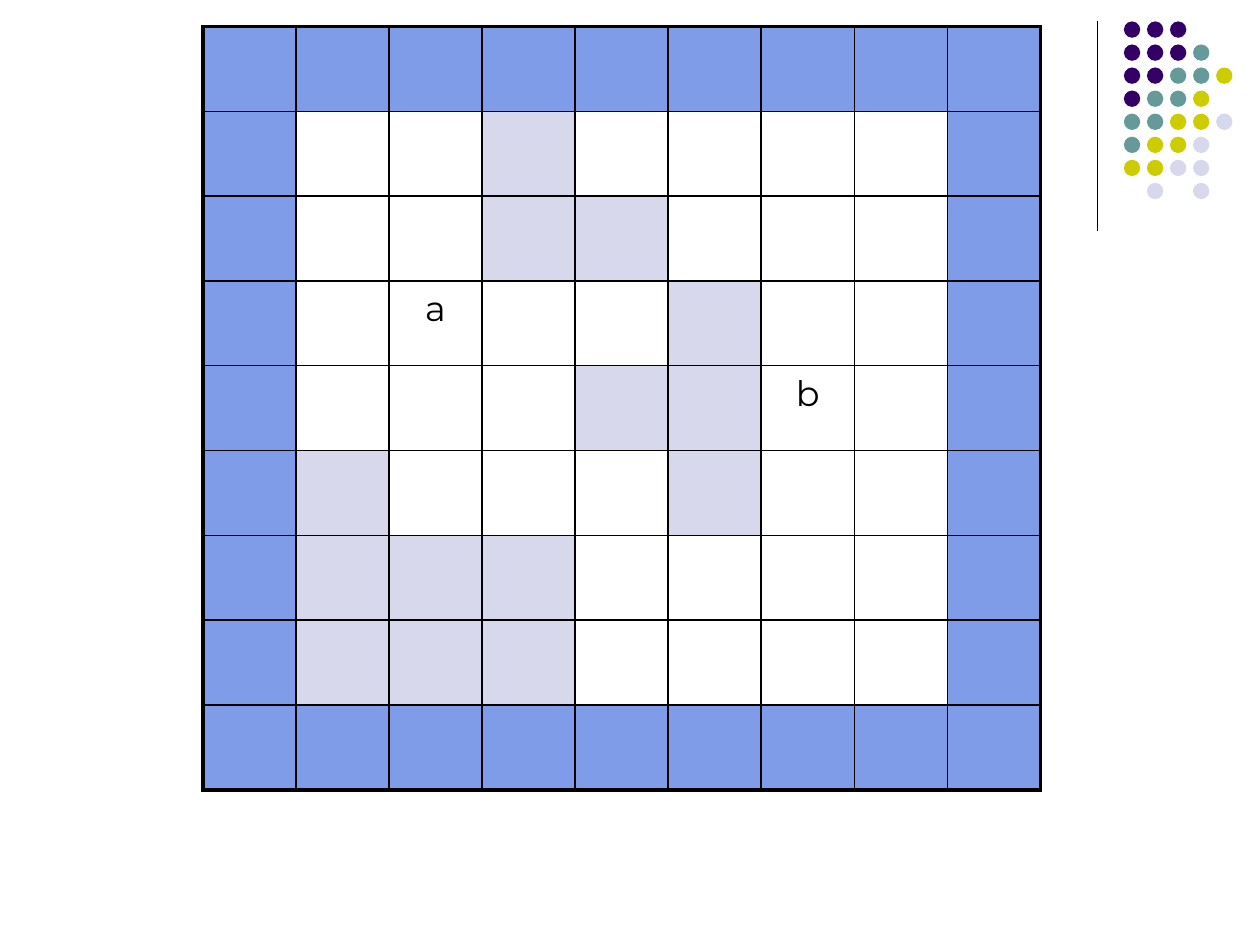
from lxml import etree
from pptx import Presentation, util as u
from pptx.dml.color import RGBColor
from pptx.enum import shapes, text
from pptx.oxml.ns import qn

# "#" border, "x" obstacle, "." free cell, letters are labels on free cells
MAZE = [
    "#########",
    "#..x....#",
    "#..xx...#",
    "#.a..x..#",
    "#...xxb.#",
    "#x...x..#",
    "#xxx....#",
    "#xxx....#",
    "#########",
]
# p purple, t teal, y yellow, l lavender
DOTS = ["ppp", "pppt", "pptty", "ptty", "ttyyl", "tyyl", "yyll", " l l"]

THEME = {
    "font": "Montserrat",
    "size": 20,
    "line": "000000",
    "cells": {"#": "7E9CE8", "x": "D8D8EC", ".": "FFFFFF"},
    "dots": {"p": "330066", "t": "669999", "y": "CCCC00", "l": "D8D8EC"},
    "outer": 2.25,
    "inner": 1,
    "rule": 0.75,
}
TABLE_BOX = (1.61, 0.21, 6.65, 6.06)
DOT_LEFT, DOT_TOP, DOT_SIZE, DOT_STEP = 8.92, 0.17, 0.13, 0.183


def color(value):
    return RGBColor.from_string(value)


def add_rule(slide):
    rule = slide.shapes.add_connector(
        shapes.MSO_CONNECTOR.STRAIGHT,
        u.Inches(8.71), u.Inches(0.17), u.Inches(8.71), u.Inches(1.83))
    rule.line.color.rgb = color(THEME["line"])
    rule.line.width = u.Pt(THEME["rule"])
    etree.SubElement(rule._element.spPr, qn("a:effectLst"))


def add_dots(slide):
    group = slide.shapes.add_group_shape()
    for row, line in enumerate(DOTS):
        for column, key in enumerate(line):
            if key == " ":
                continue
            dot = group.shapes.add_shape(
                shapes.MSO_SHAPE.OVAL,
                u.Inches(DOT_LEFT + column * DOT_STEP),
                u.Inches(DOT_TOP + row * DOT_STEP),
                u.Inches(DOT_SIZE), u.Inches(DOT_SIZE))
            dot.shadow.inherit = False
            dot.fill.solid()
            dot.fill.fore_color.rgb = color(THEME["dots"][key])
            dot.line.fill.background()


def set_borders(cell, on_edge):
    """Draw all four cell borders, thick where on_edge is true (L, R, T, B)."""
    properties = cell._tc.get_or_add_tcPr()
    for index, (side, outer) in enumerate(zip("LRTB", on_edge)):
        width = u.Pt(THEME["outer" if outer else "inner"])
        border = etree.Element(qn(f"a:ln{side}"), w=str(width))
        fill = etree.SubElement(border, qn("a:solidFill"))
        etree.SubElement(fill, qn("a:srgbClr"), val=THEME["line"])
        properties.insert(index, border)


def add_label(cell, label):
    paragraph = cell.text_frame.paragraphs[0]
    paragraph.text = label
    paragraph.alignment = text.PP_ALIGN.CENTER
    paragraph.space_before = u.Pt(THEME["size"] * 0.2)
    paragraph.font.name = THEME["font"]
    paragraph.font.size = u.Pt(THEME["size"])
    paragraph.font.color.rgb = color(THEME["line"])


def add_maze(slide):
    rows, columns = len(MAZE), len(MAZE[0])
    box = [u.Inches(length) for length in TABLE_BOX]
    table = slide.shapes.add_table(rows, columns, *box).table
    table.first_row = table.horz_banding = False
    for row, line in enumerate(MAZE):
        for column, key in enumerate(line):
            cell = table.cell(row, column)
            cell.fill.solid()
            cell.fill.fore_color.rgb = color(
                THEME["cells"].get(key, THEME["cells"]["."]))
            set_borders(cell, (column == 0, column == columns - 1,
                               row == 0, row == rows - 1))
            if key.isalpha() and key != "x":
                add_label(cell, key)


def main():
    presentation = Presentation()
    presentation.slide_width = u.Inches(10)
    presentation.slide_height = u.Inches(7.5)
    slide = presentation.slides.add_slide(presentation.slide_layouts[6])
    add_rule(slide)
    add_dots(slide)
    add_maze(slide)
    presentation.save("out.pptx")


if __name__ == "__main__":
    main()
